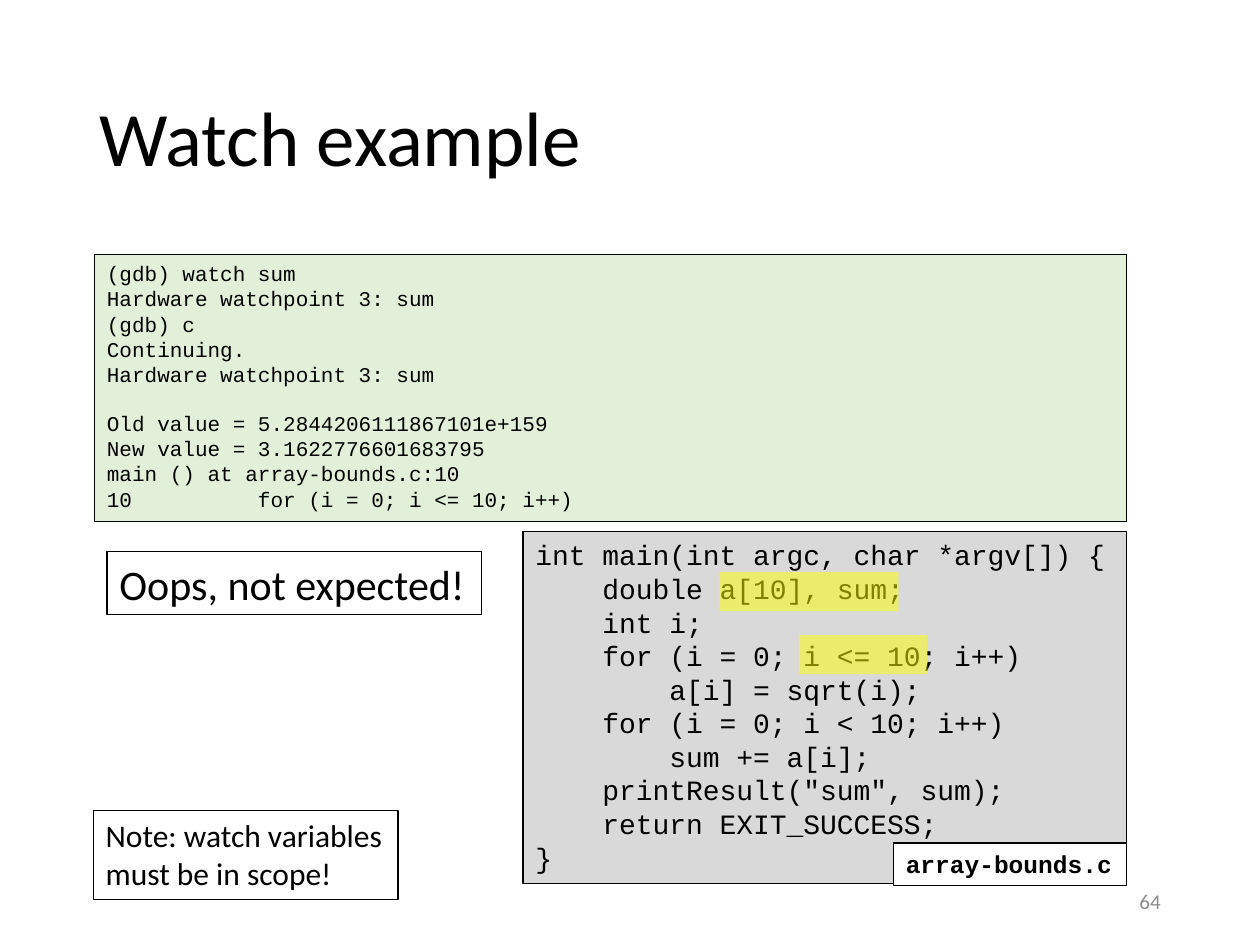
from lxml import etree
from pptx import Presentation
from pptx.dml.color import RGBColor
from pptx.enum import shapes, text
from pptx.oxml import ns
from pptx.util import Inches, Pt

COLORS = {
    "ink": "000000",
    "console": "E2F0D9",
    "code": "D9D9D9",
    "paper": "FFFFFF",
    "marker": "FFFF00",
    "number": "8C8C8C",
}
BODY_FONT, CODE_FONT = "Calibri", "Courier New"

CONSOLE_COMMANDS = """(gdb) watch sum
Hardware watchpoint 3: sum
(gdb) c
Continuing.
Hardware watchpoint 3: sum"""

CONSOLE_RESULT = """Old value = 5.2844206111867101e+159
New value = 3.1622776601683795
main () at array-bounds.c:10
10          for (i = 0; i <= 10; i++)"""

SOURCE_CODE = """int main(int argc, char *argv[]) {
    double a[10], sum;
    int i;
    for (i = 0; i <= 10; i++)
        a[i] = sqrt(i);
    for (i = 0; i < 10; i++)
        sum += a[i];
    printResult("sum", sum);
    return EXIT_SUCCESS;
}"""


def color(name):
    return RGBColor.from_string(COLORS[name])


class SlideBuilder:
    def __init__(self, deck):
        self.page = deck.slides.add_slide(deck.slide_layouts[5])

    def place(self, shape, left, top, width, height):
        shape.left, shape.top = Inches(left), Inches(top)
        shape.width, shape.height = Inches(width), Inches(height)

    def set_words(self, shape, words, size, font=BODY_FONT, ink="ink", bold=False,
                  align=text.PP_ALIGN.LEFT, anchor=text.MSO_ANCHOR.TOP):
        frame = shape.text_frame
        frame.text = words
        frame.vertical_anchor = anchor
        for para in frame.paragraphs:
            para.alignment = align
            for span in para.runs:
                span.font.size = Pt(size)
                span.font.name = font
                span.font.bold = bold
                span.font.color.rgb = color(ink)
        return frame

    def title(self, words, *place):
        box = self.page.shapes.title
        self.place(box, *place)
        frame = self.set_words(box, words, 44, anchor=text.MSO_ANCHOR.MIDDLE)
        frame.paragraphs[0].line_spacing = 0.9

    def rectangle(self, place, fill=None, parent=None):
        owner = (parent or self.page).shapes
        box = owner.add_shape(shapes.MSO_SHAPE.RECTANGLE, *map(Inches, place))
        box.shadow.inherit = False
        if fill:
            box.fill.solid()
            box.fill.fore_color.rgb = color(fill)
        else:
            box.fill.background()
        return box

    def panel(self, words, place, size, fill=None, parent=None, wrap=False, **style):
        box = self.rectangle(place, fill, parent)
        box.line.color.rgb = color("ink")
        box.line.width = Pt(0.75)
        frame = self.set_words(box, words, size, **style)
        frame.word_wrap = wrap
        frame.auto_size = text.MSO_AUTO_SIZE.SHAPE_TO_FIT_TEXT
        return frame

    def highlight(self, place, parent):
        box = self.rectangle(place, "marker", parent)
        box.line.fill.background()
        tint = box.element.spPr.find(".//" + ns.qn("a:srgbClr"))
        etree.SubElement(tint, ns.qn("a:alpha"), val="50000")

    def page_number(self, number, *place):
        box = self.page.shapes.add_textbox(*map(Inches, place))
        frame = self.set_words(box, number, 12, ink="number",
                               align=text.PP_ALIGN.RIGHT,
                               anchor=text.MSO_ANCHOR.MIDDLE)
        frame.word_wrap = True


def main():
    deck = Presentation()
    deck.slide_width, deck.slide_height = Inches(10), Inches(7.5)
    slide = SlideBuilder(deck)
    slide.title("Watch example", 0.69, 0.4, 8.62, 1.45)

    # Debugger session, with a one-line gap before the result
    console = slide.panel(CONSOLE_COMMANDS + "\n" + CONSOLE_RESULT,
                          (0.75, 2.02, 8.19, 2.12), 12, "console",
                          wrap=True, font=CODE_FONT)
    result_start = len(CONSOLE_COMMANDS.splitlines())
    console.paragraphs[result_start].space_before = Pt(13.6)

    slide.panel("Oops, not expected!", (0.85, 4.38, 2.97, 0.5), 24)

    # Source listing with its file name and marked expressions
    listing = slide.page.shapes.add_group_shape()
    slide.panel(SOURCE_CODE, (4.15, 4.22, 4.79, 2.79), 16, "code", listing,
                font=CODE_FONT)
    slide.panel("array-bounds.c", (7.09, 6.69, 1.85, 0.34), 14, "paper", listing,
                font=CODE_FONT, bold=True)
    for left, top, width in ((5.71, 4.54, 1.42), (6.34, 5.04, 1.02)):
        slide.highlight((left, top, width, 0.31), listing)

    # Scope note and page number
    slide.panel("Note: watch variables\nmust be in scope!", (0.74, 6.43, 2.42, 0.71), 18)
    slide.page_number("64", 7.06, 6.95, 2.25, 0.4)

    deck.save("out.pptx")


if __name__ == "__main__":
    main()
